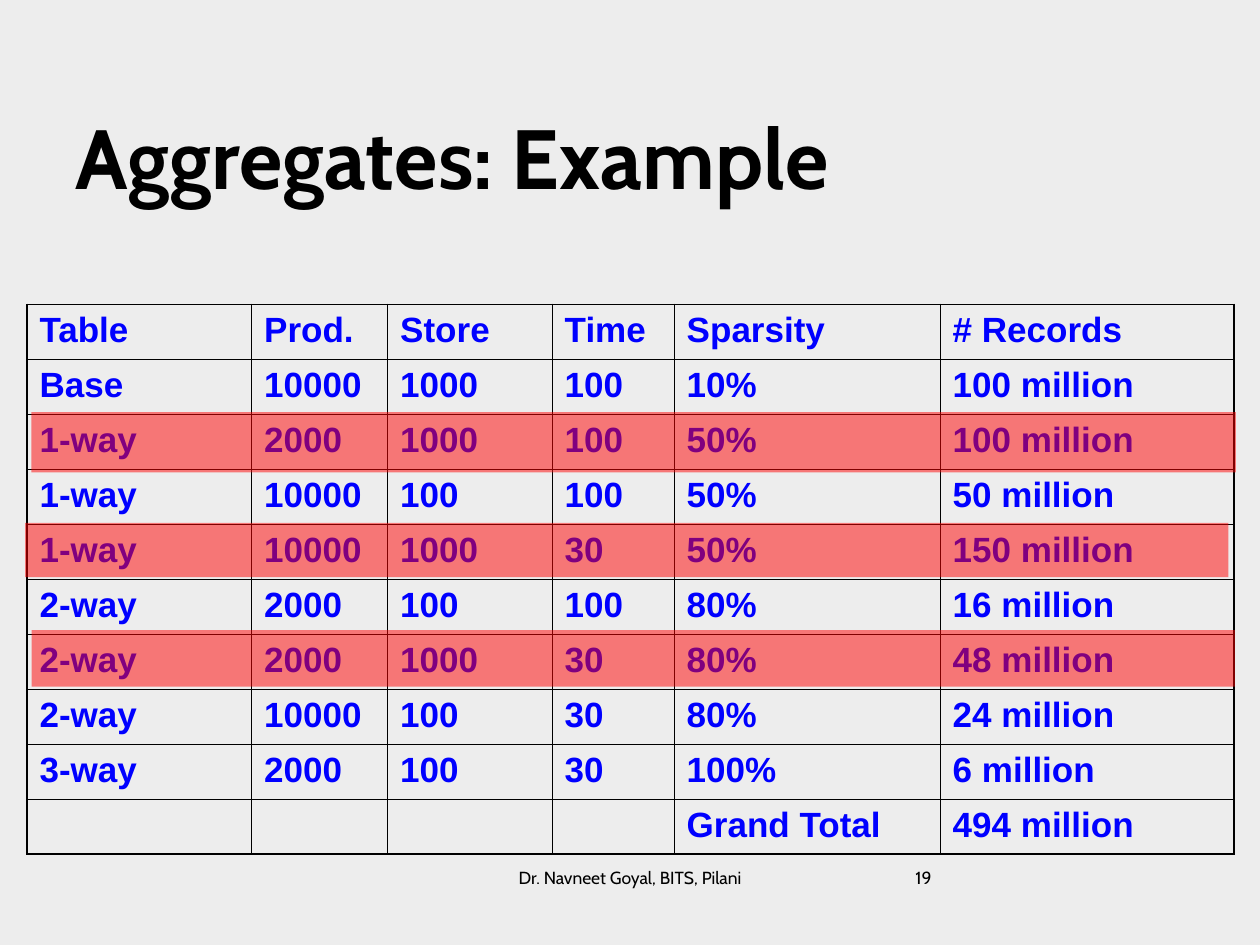
from pptx import Presentation
from pptx.dml.color import RGBColor
from pptx.enum.shapes import MSO_SHAPE
from pptx.enum.text import MSO_ANCHOR, MSO_AUTO_SIZE, PP_ALIGN
from pptx.oxml.ns import qn
from pptx.util import Pt
from lxml import etree

RECT = MSO_SHAPE.RECTANGLE
BOTTOM = MSO_ANCHOR.BOTTOM
FIXED = MSO_AUTO_SIZE.NONE
LEFT, CENTER = PP_ALIGN.LEFT, PP_ALIGN.CENTER


def color(code):
    return RGBColor.from_string(code)


def write(frame, text, size, face, code, bold=False, align=LEFT):
    frame.text = text
    para = frame.paragraphs[0]
    para.alignment = align
    for run in para.runs:
        run.font.size = Pt(size)
        run.font.name = face
        run.font.bold = bold
        run.font.color.rgb = color(code)


# Slide and background
prs = Presentation()
prs.slide_width, prs.slide_height = Pt(720), Pt(540)
slide = prs.slides.add_slide(prs.slide_layouts[5])
slide.background.fill.solid()
slide.background.fill.fore_color.rgb = color("EDEDED")

# Title
title = slide.shapes.title
title.left, title.top, title.width, title.height = Pt(36), Pt(28), Pt(648), Pt(90)
frame = title.text_frame
frame.auto_size = FIXED
frame.vertical_anchor = BOTTOM
frame.margin_bottom = 0
write(frame, "Aggregates: Example", 48, "Cabin", "000000", bold=True)

# Page number and footer
for text, left, width, align in [
    ("19", 516, 168, LEFT),
    ("Dr. Navneet Goyal, BITS, Pilani", 246, 228, CENTER),
]:
    box = slide.shapes.add_textbox(Pt(left), Pt(492), Pt(width), Pt(37.5))
    box.text_frame.word_wrap = True
    write(box.text_frame, text, 10, "Cabin", "000000", align=align)

# Table
rows = [
    ["Table", "Prod.", "Store", "Time", "Sparsity", "# Records"],
    ["Base", "10000", "1000", "100", "10%", "100 million"],
    ["1-way", "2000", "1000", "100", "50%", "100 million"],
    ["1-way", "10000", "100", "100", "50%", "50 million"],
    ["1-way", "10000", "1000", "30", "50%", "150 million"],
    ["2-way", "2000", "100", "100", "80%", "16 million"],
    ["2-way", "2000", "1000", "30", "80%", "48 million"],
    ["2-way", "10000", "100", "30", "80%", "24 million"],
    ["3-way", "2000", "100", "30", "100%", "6 million"],
    ["", "", "", "", "Grand Total", "494 million"],
]
widths = [128.4, 77.75, 94, 69.75, 152, 168]
pitch = 31.43
last_row, last_col = len(rows) - 1, len(widths) - 1
table = slide.shapes.add_table(len(rows), len(widths), Pt(15.4), Pt(174),
                               Pt(sum(widths)), Pt(pitch * len(rows))).table
table.first_row = table.horz_banding = False
for col, width in zip(table.columns, widths):
    col.width = Pt(width)

for r, row in enumerate(rows):
    table.rows[r].height = Pt(pitch)
    for c, text in enumerate(row):
        cell = table.cell(r, c)
        write(cell.text_frame, text, 20, "Arial", "0000FF", bold=True)
        # Borders: thick around the table, thin inside
        props = cell._tc.get_or_add_tcPr()
        edges = {"lnL": c == 0, "lnR": c == last_col,
                 "lnT": r == 0, "lnB": r == last_row}
        for tag, outer in edges.items():
            line = etree.SubElement(props, qn("a:" + tag),
                                    w=str(Pt(1.08 if outer else 0.45)))
            paint = etree.SubElement(line, qn("a:solidFill"))
            etree.SubElement(paint, qn("a:srgbClr"), val="000000")
        cell.fill.background()

# Translucent bars over the marked rows
for left, top, width, height in [
    (18, 235.5, 688.3, 34.5),
    (14.4, 298.8, 687.6, 31),
    (18, 360, 687.6, 32.4),
]:
    bar = slide.shapes.add_shape(RECT, Pt(left), Pt(top), Pt(width), Pt(height))
    bar.shadow.inherit = False
    bar.line.fill.background()
    bar.fill.solid()
    bar.fill.fore_color.rgb = color("FF0000")
    tint = bar._element.spPr.find(qn("a:solidFill"))[0]
    etree.SubElement(tint, qn("a:alpha"), val="50000")

prs.save("out.pptx")
